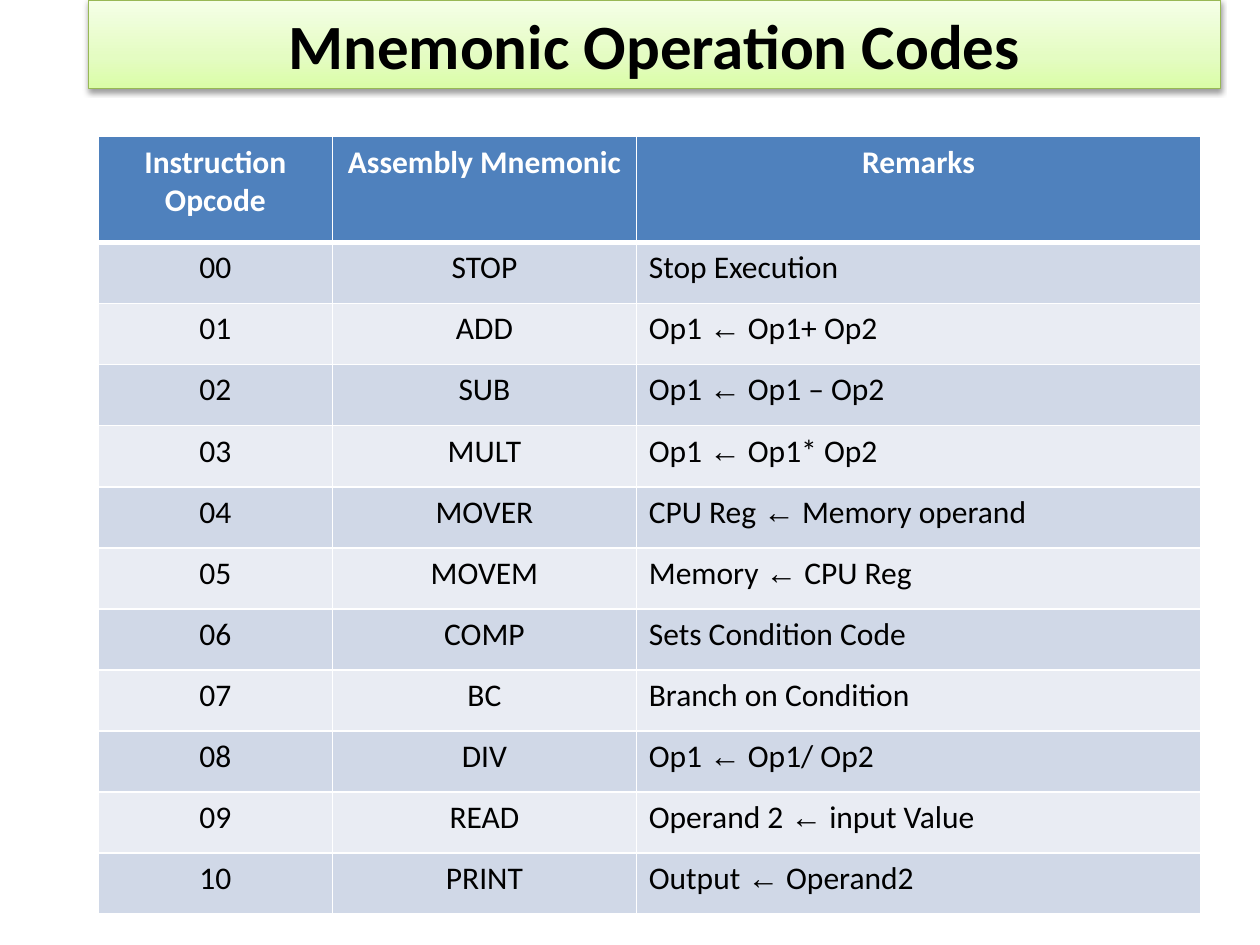
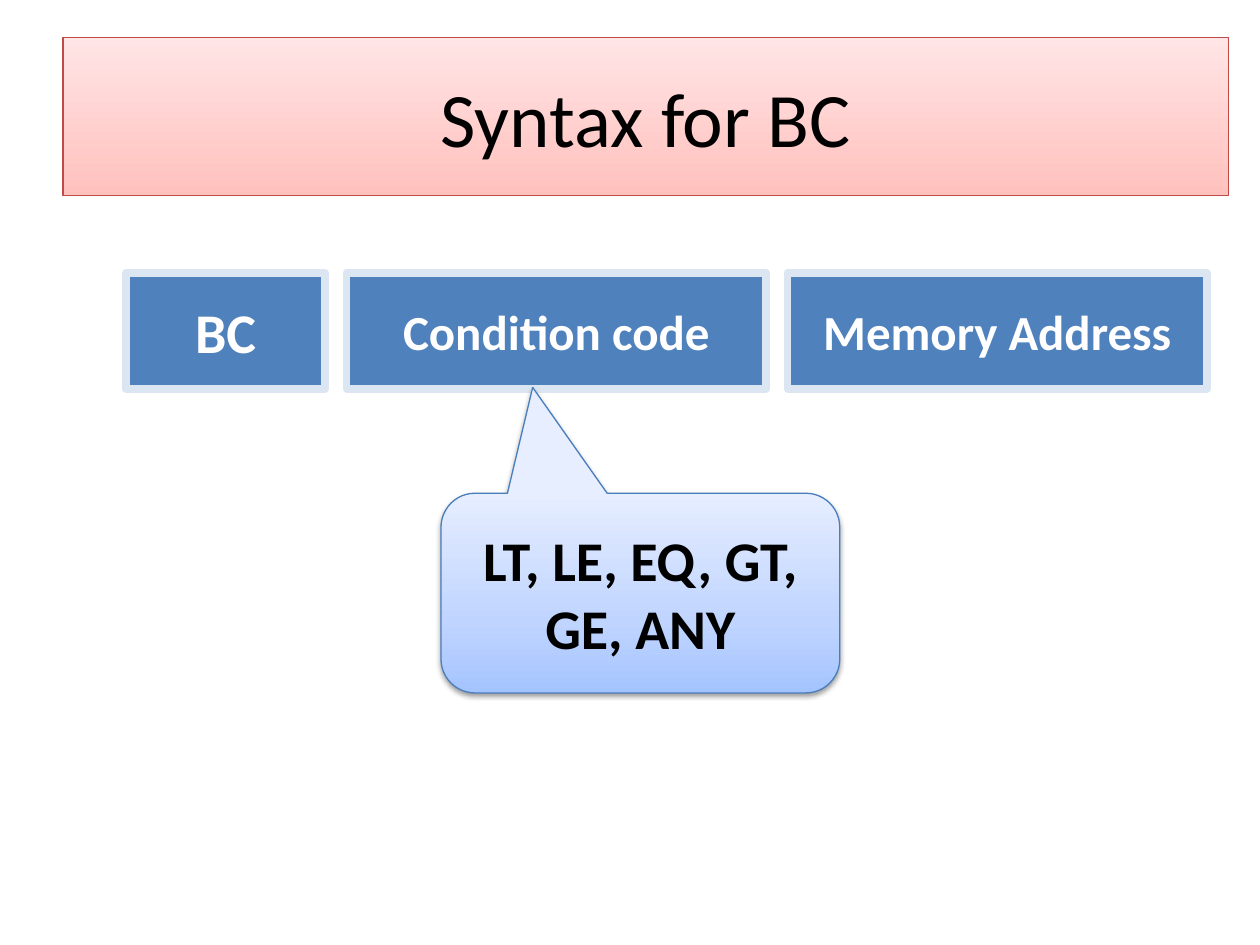
from lxml.etree import SubElement
from pptx import Presentation
from pptx.dml.color import RGBColor
from pptx.enum.shapes import MSO_SHAPE
from pptx.enum.text import MSO_ANCHOR, MSO_AUTO_SIZE, PP_ALIGN
from pptx.oxml.ns import qn
from pptx.util import Pt

PX = 4572  # 200 px to the inch

BLACK = RGBColor(0x00, 0x00, 0x00)
WHITE = RGBColor(0xFF, 0xFF, 0xFF)
BLUE = RGBColor(0x4F, 0x81, 0xBD)
PALE_BLUE = RGBColor(0xDC, 0xE6, 0xF2)
CALLOUT_LINE = RGBColor(0x4A, 0x7E, 0xBB)
GREEN_LINE = RGBColor(0x98, 0xB8, 0x55)
RED_LINE = RGBColor(0xBE, 0x4B, 0x48)
BANDS = [RGBColor(0xE9, 0xEC, 0xF3), RGBColor(0xD0, 0xD8, 0xE7)]

# Gradients run from the bottom up: position in percent, colour
GREEN_STOPS = [(0, RGBColor(0xDA, 0xFD, 0xA7)), (35, RGBColor(0xE4, 0xFC, 0xC2)),
               (100, RGBColor(0xF5, 0xFF, 0xE7))]
RED_STOPS = [(0, RGBColor(0xFF, 0xC1, 0xBE)), (100, RGBColor(0xFF, 0xE5, 0xE5))]
BLUE_STOPS = [(0, RGBColor(0xA4, 0xC4, 0xFF)), (35, RGBColor(0xBF, 0xD4, 0xFF)),
              (100, RGBColor(0xE6, 0xEE, 0xFF))]


def write(shape, text, size, color, bold):
    frame = shape.text_frame
    frame.text = text
    frame.word_wrap = True
    frame.auto_size = MSO_AUTO_SIZE.NONE
    frame.vertical_anchor = MSO_ANCHOR.MIDDLE
    para = frame.paragraphs[0]
    para.alignment = PP_ALIGN.CENTER
    span = para.runs[0].font
    span.name, span.size, span.bold = "Calibri", Pt(size), bold
    span.color.rgb = color


def paint_gradient(shape, stops, line_color, shadow):
    shape.fill.gradient()
    shape.fill.gradient_angle = 90
    properties = shape.fill._xPr
    stop_list = properties.find(qn("a:gradFill")).find(qn("a:gsLst"))
    for stop in list(stop_list):
        stop_list.remove(stop)
    for position, color in stops:
        stop = SubElement(stop_list, qn("a:gs"), pos=str(position * 1000))
        SubElement(stop, qn("a:srgbClr"), val=str(color))
    shape.line.color.rgb = line_color
    shape.line.width = Pt(0.75)
    shape.shadow.inherit = False
    if shadow:
        outer = SubElement(properties.find(qn("a:effectLst")), qn("a:outerShdw"),
                           blurRad="40000", dist="20000", dir="5400000", rotWithShape="0")
        shade = SubElement(outer, qn("a:srgbClr"), val=str(BLACK))
        SubElement(shade, qn("a:alpha"), val="38000")


deck = Presentation()
deck.slide_width, deck.slide_height = 2000 * PX, 1500 * PX

# Both pages with their title bands
TITLES = [
    ("Mnemonic Operation Codes", (140, 0, 1797, 140), 36, True, GREEN_STOPS, GREEN_LINE, True),
    ("Syntax for BC", (100, 60, 1850, 250), 44, False, RED_STOPS, RED_LINE, False),
]
pages = []
for text, area, size, bold, stops, line_color, shadow in TITLES:
    page = deck.slides.add_slide(deck.slide_layouts[5])
    title = page.shapes.title
    title.left, title.top, title.width, title.height = [length * PX for length in area]
    write(title, text, size, BLACK, bold)
    paint_gradient(title, stops, line_color, shadow)
    pages.append(page)
codes_page, syntax_page = pages

# Table of operation codes
HEADER = ("Instruction Opcode", "Assembly Mnemonic", "Remarks")
OPERATIONS = [
    ("STOP", "Stop Execution"),
    ("ADD", "Op1 ← Op1+ Op2"),
    ("SUB", "Op1 ← Op1 – Op2"),
    ("MULT", "Op1 ← Op1* Op2"),
    ("MOVER", "CPU Reg ← Memory operand"),
    ("MOVEM", "Memory ← CPU Reg"),
    ("COMP", "Sets Condition Code"),
    ("BC", "Branch on Condition"),
    ("DIV", "Op1 ← Op1/ Op2"),
    ("READ", "Operand 2 ← input Value"),
    ("PRINT", "Output ← Operand2"),
]
rows = [HEADER] + [(f"{code:02d}", *operation) for code, operation in enumerate(OPERATIONS)]
HEADER_HEIGHT, ROW_HEIGHT = 168, 97
WIDTHS = [372, 482, 896]
table = codes_page.shapes.add_table(
    len(rows), len(WIDTHS), 156 * PX, 217 * PX, sum(WIDTHS) * PX,
    (HEADER_HEIGHT + ROW_HEIGHT * len(OPERATIONS)) * PX).table
for column, width in zip(table.columns, WIDTHS):
    column.width = width * PX

for row_index, texts in enumerate(rows):
    is_header = row_index == 0
    table.rows[row_index].height = (HEADER_HEIGHT if is_header else ROW_HEIGHT) * PX
    for column_index, text in enumerate(texts):
        cell = table.cell(row_index, column_index)
        para = cell.text_frame.paragraphs[0]
        if is_header or column_index < 2:
            para.alignment = PP_ALIGN.CENTER
        # The arrow has a font of its own
        for part in filter(None, text.partition("←")):
            span = para.add_run()
            span.text = part
            span.font.name = "Arial" if part == "←" else "Calibri"
            span.font.size = Pt(18)
            span.font.bold = is_header
            span.font.color.rgb = WHITE if is_header else BLACK
        # White borders come before the fill
        cell_properties = cell._tc.get_or_add_tcPr()
        for side in "LRTB":
            thick = (is_header and side == "B") or (row_index == 1 and side == "T")
            border = SubElement(cell_properties, qn(f"a:ln{side}"),
                                w=str(Pt(3) if thick else Pt(0.96)))
            border_fill = SubElement(border, qn("a:solidFill"))
            SubElement(border_fill, qn("a:srgbClr"), val=str(WHITE))
        cell.fill.solid()
        cell.fill.fore_color.rgb = BLUE if is_header else BANDS[row_index % 2]

# Parts of the BC instruction
GAP = 34
left = 200
for text, width, size in [("BC", 316, 32), ("Condition code", 666, 28),
                          ("Memory Address", 666, 28)]:
    box = syntax_page.shapes.add_shape(MSO_SHAPE.RECTANGLE, left * PX, 433 * PX,
                                       width * PX, 184 * PX)
    box.shadow.inherit = False
    box.fill.solid()
    box.fill.fore_color.rgb = BLUE
    box.line.color.rgb = PALE_BLUE
    box.line.width = Pt(4.5)
    write(box, text, size, WHITE, True)
    left += width + GAP

# Callout with the condition codes
callout = syntax_page.shapes.add_shape(MSO_SHAPE.ROUNDED_RECTANGULAR_CALLOUT,
                                       700 * PX, 783 * PX, 633 * PX, 317 * PX)
for index, value in enumerate([-0.27, -1.03, 0.17]):
    callout.adjustments[index] = value
paint_gradient(callout, BLUE_STOPS, CALLOUT_LINE, True)
write(callout, "LT, LE, EQ, GT, GE, ANY", 32, BLACK, True)

deck.save("out.pptx")
